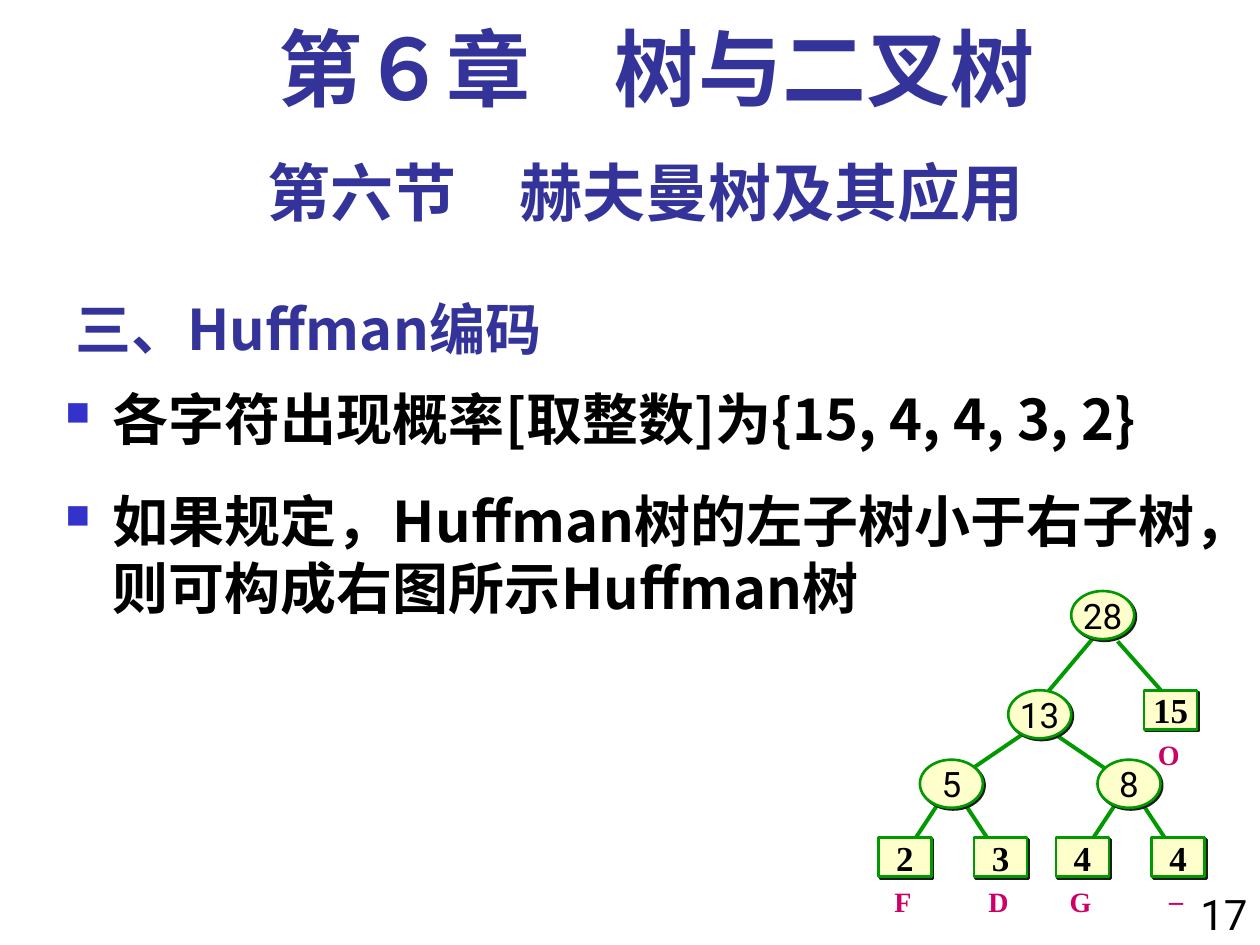
from lxml.etree import SubElement
from pptx import Presentation
from pptx.dml.color import RGBColor
from pptx.enum.shapes import MSO_CONNECTOR, MSO_SHAPE
from pptx.enum.text import MSO_ANCHOR as Anchor, PP_ALIGN as Align
from pptx.oxml.ns import qn
from pptx.util import Cm, Pt

COLORS = {
    "heading": "333399", "text": "000000", "bullet": "3333CC", "code": "CC0066",
    "branch": "009900", "node": "FFFFCC", "shadow": "1C1C1C",
}
CJK, SANS, SERIF = "Noto Sans CJK SC", "Roboto", "Times New Roman"
NODE_SIZE = (1.27, 0.97)
LEAF_SIZE = (1.07, 0.79)
LEAF_Y = 17.28


def rgb(name):
    return RGBColor.from_string(COLORS[name])


def style_runs(paragraph, size, font, color, bold):
    for run in paragraph.runs:
        run.font.size = Pt(size)
        run.font.name = font
        run.font.bold = bold
        run.font.color.rgb = rgb(color)
        SubElement(run.font._element, qn("a:ea"), typeface=CJK)


def add_text(slide, box, lines, size, font, color="text", bold=True,
             align=Align.LEFT, anchor=Anchor.TOP, wrap=True):
    frame = slide.shapes.add_textbox(*map(Cm, box)).text_frame
    frame.word_wrap = wrap
    frame.vertical_anchor = anchor
    frame.text = "\n".join(lines)
    for paragraph in frame.paragraphs:
        paragraph.alignment = align
        style_runs(paragraph, size, font, color, bold)
    return frame


def add_square_bullet(paragraph):
    props = paragraph._p.get_or_add_pPr()
    props.set("marL", str(Cm(0.95)))
    props.set("indent", str(-Cm(0.95)))
    bullet_color = SubElement(props, qn("a:buClr"))
    SubElement(bullet_color, qn("a:srgbClr"), val=COLORS["bullet"])
    SubElement(props, qn("a:buSzPct"), val="60000")
    SubElement(props, qn("a:buChar"), char="■")


def add_branch(slide, start_x, start_y, end_x, end_y):
    branch = slide.shapes.add_connector(
        MSO_CONNECTOR.STRAIGHT, *map(Cm, (start_x, start_y, end_x, end_y)))
    branch.line.color.rgb = rgb("branch")
    branch.line.width = Pt(2.25)
    SubElement(branch._element.spPr, qn("a:effectLst"))


def add_hard_shadow(shape):
    shape.shadow.inherit = False
    effects = shape._element.spPr.find(qn("a:effectLst"))
    shadow = SubElement(effects, qn("a:outerShdw"), dist=str(Pt(1.4)),
                        dir="2700000", algn="ctr", rotWithShape="0")
    SubElement(shadow, qn("a:srgbClr"), val=COLORS["shadow"])


def add_weight(slide, preset, x, y, size, weight, font, bold):
    """Draw one tree node centred on x, y."""
    width, height = size
    node = slide.shapes.add_shape(
        preset, *map(Cm, (x - width / 2, y - height / 2, width, height)))
    node.fill.solid()
    node.fill.fore_color.rgb = rgb("node")
    node.line.color.rgb = rgb("branch")
    node.line.width = Pt(1.5)
    add_hard_shadow(node)
    frame = node.text_frame
    frame.margin_left = frame.margin_right = 0
    frame.margin_top = frame.margin_bottom = 0
    frame.word_wrap = False
    frame.vertical_anchor = Anchor.MIDDLE
    frame.text = weight
    frame.paragraphs[0].alignment = Align.CENTER
    style_runs(frame.paragraphs[0], 20, font, "text", bold)


def add_inner(slide, x, y, weight):
    add_weight(slide, MSO_SHAPE.OVAL, x, y, NODE_SIZE, weight, SANS, False)


def add_leaf(slide, x, y, weight, symbol):
    add_weight(slide, MSO_SHAPE.RECTANGLE, x, y, LEAF_SIZE, weight, SERIF, True)
    drop = 0.2 if symbol == "_" else 0.42
    add_text(slide, (x - 0.51, y + drop, 0.94, 0.94), [symbol], 16, SERIF, "code",
             align=Align.CENTER, anchor=Anchor.MIDDLE, wrap=False)


def add_leaf_pair(slide, x, y, weight, left, right):
    """Draw an inner node with its two leaves."""
    for side in (-1, 1):
        add_branch(slide, x + side * 0.2, y + 0.3, x + side * 0.84, LEAF_Y - 0.21)
    add_inner(slide, x, y, weight)
    add_leaf(slide, x - 0.94, LEAF_Y, *left)
    add_leaf(slide, x + 0.99, LEAF_Y, *right)


def add_huffman_tree(slide):
    for branch in ((22.53, 12.93, 23.7, 14.25), (22.15, 12.73, 21.13, 13.94),
                   (21.16, 14.73, 22.35, 15.54), (20.75, 14.71, 19.53, 15.54)):
        add_branch(slide, *branch)
    add_inner(slide, 22.23, 12.4, "28")
    add_inner(slide, 20.96, 14.4, "13")
    add_leaf(slide, 23.6, 14.31, "15", "O")
    add_leaf_pair(slide, 19.18, 15.8, "5", ("2", "F"), ("3", "D"))
    add_leaf_pair(slide, 22.76, 15.8, "8", ("4", "G"), ("4", "_"))


def main():
    deck = Presentation()
    deck.slide_width, deck.slide_height = Cm(25.4), Cm(19.05)
    slide = deck.slides.add_slide(deck.slide_layouts[6])

    chapter = add_text(slide, (1.7, 0.43, 23.06, 2.11), ["第６章　树与二叉树"],
                       48, SERIF, "heading", align=Align.CENTER)
    chapter.paragraphs[0].line_spacing = 0.9
    add_text(slide, (1.27, 2.97, 23.5, 1.78), ["第六节　赫夫曼树及其应用"],
             36, SANS, "heading", align=Align.CENTER)
    add_text(slide, (1.27, 5.51, 15.88, 1.9), ["三、Huffman编码"],
             32, CJK, "heading", anchor=Anchor.BOTTOM)

    points = add_text(slide, (1.07, 7.62, 24.33, 11.43), [
        "各字符出现概率[取整数]为{15, 4, 4, 3, 2}",
        "如果规定，Huffman树的左子树小于右子树，则可构成右图所示Huffman树",
    ], 32, CJK)
    for point in points.paragraphs:
        add_square_bullet(point)
    points.paragraphs[1].space_before = Pt(20)

    add_huffman_tree(slide)
    add_text(slide, (23.14, 17.78, 2.26, 1.5), ["17"], 24, SANS, bold=False,
             align=Align.RIGHT)
    deck.save("out.pptx")


if __name__ == "__main__":
    main()
